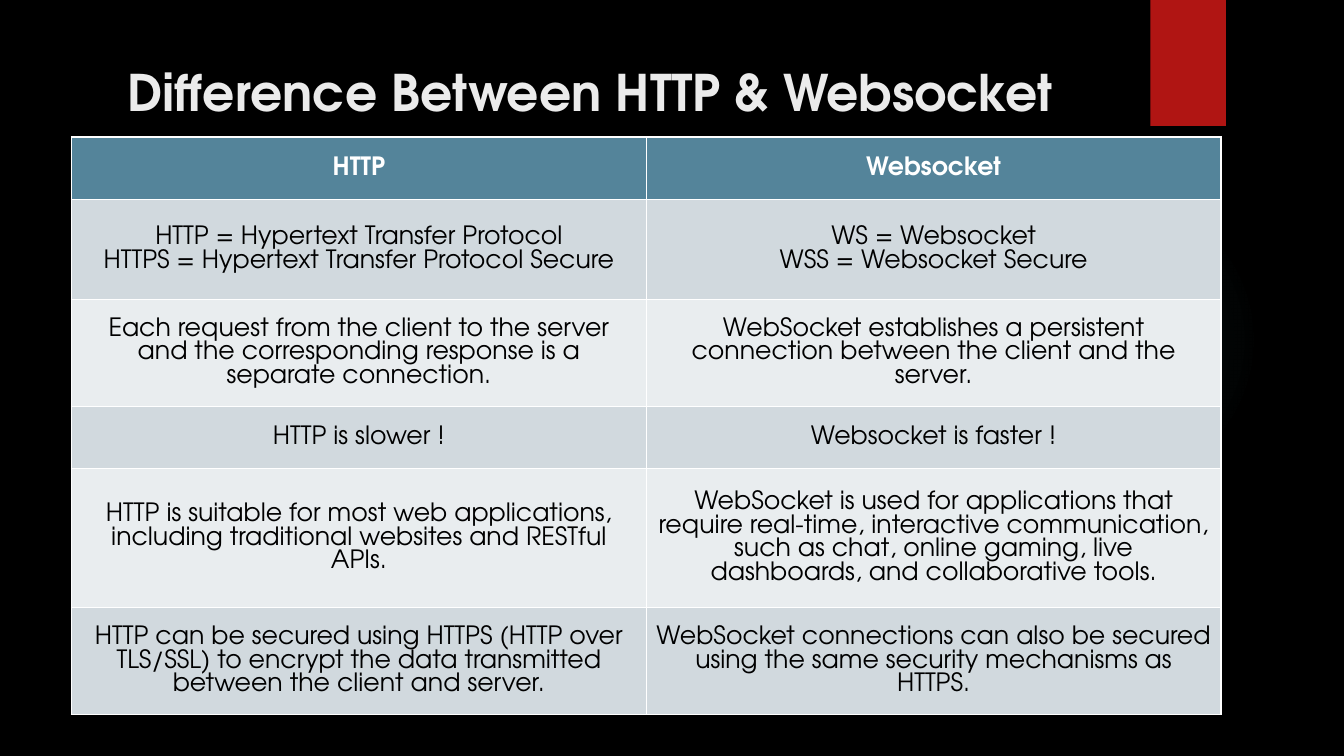
from pptx import Presentation
from pptx.dml.color import RGBColor
from pptx.enum.shapes import MSO_SHAPE as Preset
from pptx.enum.text import MSO_ANCHOR as Anchor, MSO_AUTO_SIZE as AutoSize, PP_ALIGN as Align
from pptx.oxml import parse_xml
from pptx.oxml.ns import nsdecls
from pptx.util import Inches, Pt

FONT = "TeX Gyre Adventor"
HEADER_FILL = "54849A"
BAND_FILLS = ["D1D9DE", "E9EDEF"]
ROW_HEIGHTS = [0.62, 0.99, 1.06, 0.62, 1.38, 1.06]
COMPARISON = [
    ("HTTP", "Websocket"),
    ("HTTP = Hypertext Transfer Protocol\nHTTPS = Hypertext Transfer Protocol Secure",
     "WS = Websocket\nWSS = Websocket Secure"),
    ("Each request from the client to the server and the corresponding response "
     "is a separate connection.",
     "WebSocket establishes a persistent connection between the client and the server."),
    ("HTTP is slower !", "Websocket is faster !"),
    ("HTTP is suitable for most web applications, including traditional websites "
     "and RESTful APIs.",
     "WebSocket is used for applications that require real-time, interactive "
     "communication, such as chat, online gaming, live dashboards, and "
     "collaborative tools."),
    ("HTTP can be secured using HTTPS (HTTP over TLS/SSL) to encrypt the data "
     "transmitted between the client and server.",
     "WebSocket connections can also be secured using the same security "
     "mechanisms as HTTPS."),
]


def paint(fill, color):
    fill.solid()
    fill.fore_color.rgb = RGBColor.from_string(color)


def write(frame, text, size, color, bold):
    """Fill a text frame with centred paragraphs, one per line of text."""
    font_format = {"name": FONT, "size": Pt(size), "bold": bold}
    frame.text = text
    for paragraph in frame.paragraphs:
        paragraph.alignment = Align.CENTER
        for run in paragraph.runs:
            for attribute, value in font_format.items():
                setattr(run.font, attribute, value)
            run.font.color.rgb = RGBColor.from_string(color)


def add_decoration(slide, preset, left, top, width, height, color):
    decoration = slide.shapes.add_shape(
        preset, Inches(left), Inches(top), Inches(width), Inches(height))
    decoration.shadow.inherit = False
    decoration.line.fill.background()
    paint(decoration.fill, color)
    return decoration


def fade_out(decoration, color, stops):
    """Swap the solid fill for a radial gradient of (position, opacity) percents."""
    stop_xml = "".join(
        f'<a:gs pos="{position * 1000}"><a:srgbClr val="{color}">'
        f'<a:alpha val="{opacity * 1000}"/></a:srgbClr></a:gs>'
        for position, opacity in stops)
    gradient = parse_xml(
        f'<a:gradFill {nsdecls("a")}><a:gsLst>{stop_xml}</a:gsLst><a:path path="circle">'
        '<a:fillToRect l="50000" t="50000" r="50000" b="50000"/></a:path></a:gradFill>')
    properties = decoration._element.spPr
    properties.replace(properties.find("{*}solidFill"), gradient)


def drop_shadow(decoration, blur, distance, opacity):
    effects = decoration._element.spPr.find("{*}effectLst")
    effects.append(parse_xml(
        f'<a:outerShdw {nsdecls("a")} blurRad="{Pt(blur)}" dist="{Pt(distance)}" '
        f'dir="5400000" rotWithShape="0"><a:srgbClr val="000000">'
        f'<a:alpha val="{opacity * 1000}"/></a:srgbClr></a:outerShdw>'))


def add_title(slide, text):
    title = slide.shapes.title
    box = {"left": 0.71, "top": 0.5, "width": 10.29, "height": 0.95}
    for attribute, value in box.items():
        setattr(title, attribute, Inches(value))
    frame_format = {"word_wrap": True, "auto_size": AutoSize.NONE,
                    "vertical_anchor": Anchor.MIDDLE, "margin_bottom": Inches(0.18)}
    for attribute, value in frame_format.items():
        setattr(title.text_frame, attribute, value)
    write(title.text_frame, text, 36, "EBEBEB", True)


def add_comparison(slide, rows):
    comparison = slide.shapes.add_table(
        len(rows), 2, Inches(0.71), Inches(1.36),
        Inches(11.4), Inches(sum(ROW_HEIGHTS))).table
    for row_index, (texts, height) in enumerate(zip(rows, ROW_HEIGHTS)):
        comparison.rows[row_index].height = Inches(height)
        header = row_index == 0
        for column_index, text in enumerate(texts):
            cell = comparison.cell(row_index, column_index)
            cell.vertical_anchor = Anchor.MIDDLE
            paint(cell.fill, HEADER_FILL if header else BAND_FILLS[(row_index - 1) % 2])
            write(cell.text_frame, text, 18, "FFFFFF" if header else "000000", header)


def main():
    deck = Presentation()
    deck.slide_width, deck.slide_height = Inches(13.33), Inches(7.5)
    slide = deck.slides.add_slide(deck.slide_layouts[5])
    paint(slide.background.fill, "000000")

    # Backdrop: faint glow and red ribbon
    glow = add_decoration(slide, Preset.OVAL, 9.41, 1.83, 3.08, 3.08, "50B9C1")
    fade_out(glow, "50B9C1", [(0, 7), (36, 6), (69, 0)])
    ribbon = add_decoration(slide, Preset.RECTANGLE, 11.41, 0, 0.75, 1.25, "B01513")
    drop_shadow(ribbon, 3, 2, 45)

    # Content
    add_title(slide, "Difference Between HTTP & Websocket")
    add_comparison(slide, COMPARISON)
    deck.save("out.pptx")


if __name__ == "__main__":
    main()
